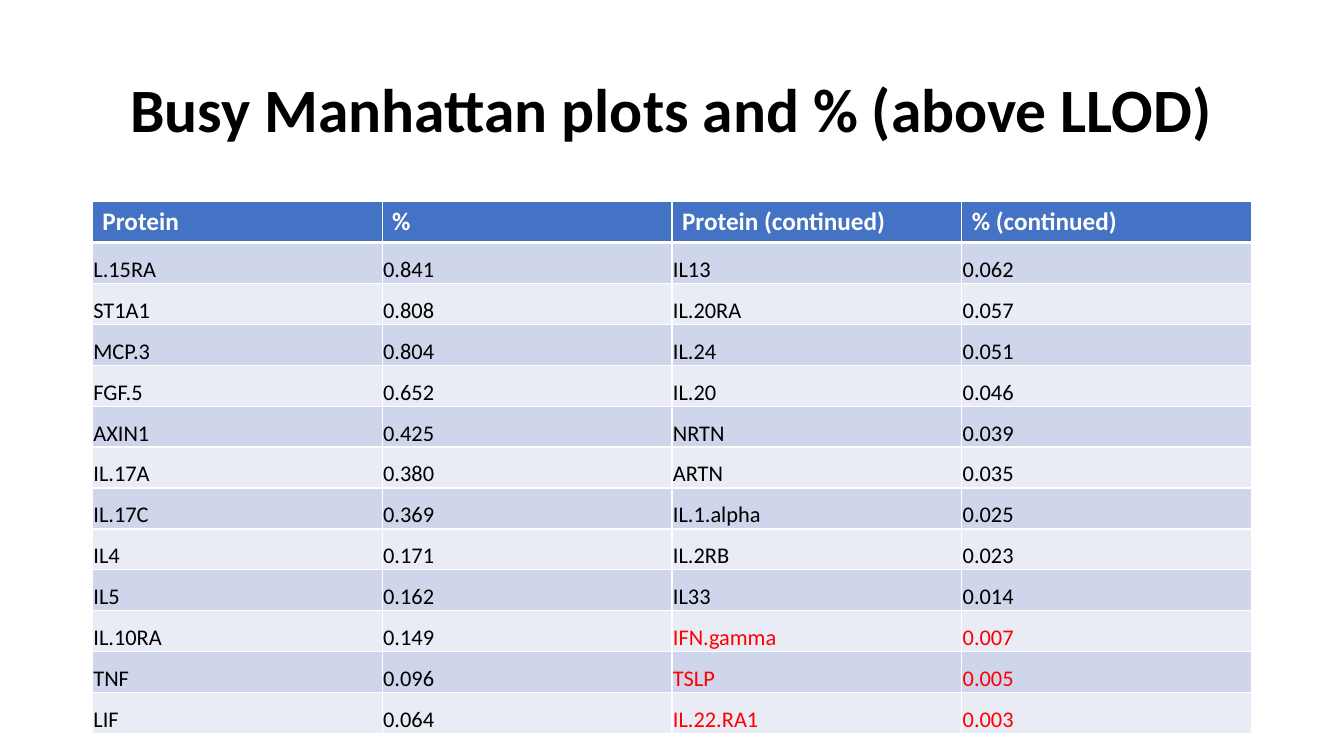
import pptx
import pptx.dml.color
import pptx.enum.text
import pptx.oxml
import pptx.oxml.ns
import pptx.util

ANCHOR = pptx.enum.text.MSO_ANCHOR
ALIGN = pptx.enum.text.PP_ALIGN
EMU_PER_PX = 9525

PROTEINS = [
    ("L.15RA", "0.841"), ("ST1A1", "0.808"), ("MCP.3", "0.804"),
    ("FGF.5", "0.652"), ("AXIN1", "0.425"), ("IL.17A", "0.380"),
    ("IL.17C", "0.369"), ("IL4", "0.171"), ("IL5", "0.162"),
    ("IL.10RA", "0.149"), ("TNF", "0.096"), ("LIF", "0.064"),
    ("IL13", "0.062"), ("IL.20RA", "0.057"), ("IL.24", "0.051"),
    ("IL.20", "0.046"), ("NRTN", "0.039"), ("ARTN", "0.035"),
    ("IL.1.alpha", "0.025"), ("IL.2RB", "0.023"), ("IL33", "0.014"),
    ("IFN.gamma", "0.007"), ("TSLP", "0.005"), ("IL.22.RA1", "0.003"),
]
HEADINGS = ("Protein", "%", "Protein (continued)", "% (continued)")
LOW_SHARE = 0.01


def px(length):
    return pptx.util.Emu(length * EMU_PER_PX)


def color(hex_code):
    return pptx.dml.color.RGBColor.from_string(hex_code)


class Deck:
    font = "Calibri"
    black, white, red = "000000", "FFFFFF", "FF0000"
    header_fill = "4472C4"
    bands = ("CFD5EA", "E9EBF5")

    def __init__(self, width, height):
        self.presentation = pptx.Presentation()
        self.presentation.slide_width = px(width)
        self.presentation.slide_height = px(height)
        self.slide = self.presentation.slides.add_slide(
            self.presentation.slide_layouts[6])

    def add_words(self, paragraph, words, size, hex_code, bold=False):
        run = paragraph.add_run()
        run.text = words
        run.font.name = self.font
        run.font.size = pptx.util.Pt(size)
        run.font.bold = bold
        run.font.color.rgb = color(hex_code)

    def title(self, words, left, top, width, height):
        frame = self.slide.shapes.add_textbox(
            px(left), px(top), px(width), px(height)).text_frame
        frame.word_wrap = True
        frame.vertical_anchor = ANCHOR.MIDDLE
        heading = frame.paragraphs[0]
        heading.alignment = ALIGN.CENTER
        heading.line_spacing = 0.9
        self.add_words(heading, words, 44, self.black, bold=True)

    def borders(self, cell, top, bottom):
        properties = cell._tc.get_or_add_tcPr()
        for side, points in (("L", 1), ("R", 1), ("T", top), ("B", bottom)):
            properties.append(pptx.oxml.parse_xml(
                f'<a:ln{side} {pptx.oxml.ns.nsdecls("a")} w="{pptx.util.Pt(points)}">'
                f'<a:solidFill><a:srgbClr val="{self.white}"/></a:solidFill>'
                f'</a:ln{side}>'))

    def fill(self, cell, hex_code):
        cell.fill.solid()
        cell.fill.fore_color.rgb = color(hex_code)

    def header_cell(self, cell, words):
        self.borders(cell, top=1, bottom=3)
        self.fill(cell, self.header_fill)
        self.add_words(cell.text_frame.paragraphs[0], words, 18, self.white, bold=True)

    def body_cell(self, cell, words, row, hex_code):
        self.borders(cell, top=3 if row == 1 else 1, bottom=1)
        self.fill(cell, self.bands[(row - 1) % 2])
        cell.vertical_anchor = ANCHOR.BOTTOM
        cell.margin_left = cell.margin_right = cell.margin_top = px(1)
        cell.margin_bottom = 0
        self.add_words(cell.text_frame.paragraphs[0], words, 16, hex_code)

    def protein_table(self, left, top, column_width, row_height):
        # The list runs down the left pair of columns, then the right pair
        half = len(PROTEINS) // 2
        table = self.slide.shapes.add_table(
            half + 1, len(HEADINGS), px(left), px(top),
            px(column_width * len(HEADINGS)), px(row_height * (half + 1))).table
        for column in table.columns:
            column.width = px(column_width)
        for row in table.rows:
            row.height = px(row_height)

        # Header
        for column, heading in enumerate(HEADINGS):
            self.header_cell(table.cell(0, column), heading)

        # Proteins, with the lowest shares in red
        for index, (protein, share) in enumerate(PROTEINS):
            pair, row = divmod(index, half)
            hex_code = self.red if float(share) < LOW_SHARE else self.black
            for offset, words in enumerate((protein, share)):
                self.body_cell(table.cell(row + 1, pair * 2 + offset),
                               words, row + 1, hex_code)


def main():
    deck = Deck(1280, 720)
    deck.title("Busy Manhattan plots and % (above LLOD)", 88, 38, 1104, 139)
    deck.protein_table(88, 192, column_width=276, row_height=39)
    deck.presentation.save("out.pptx")


if __name__ == "__main__":
    main()
